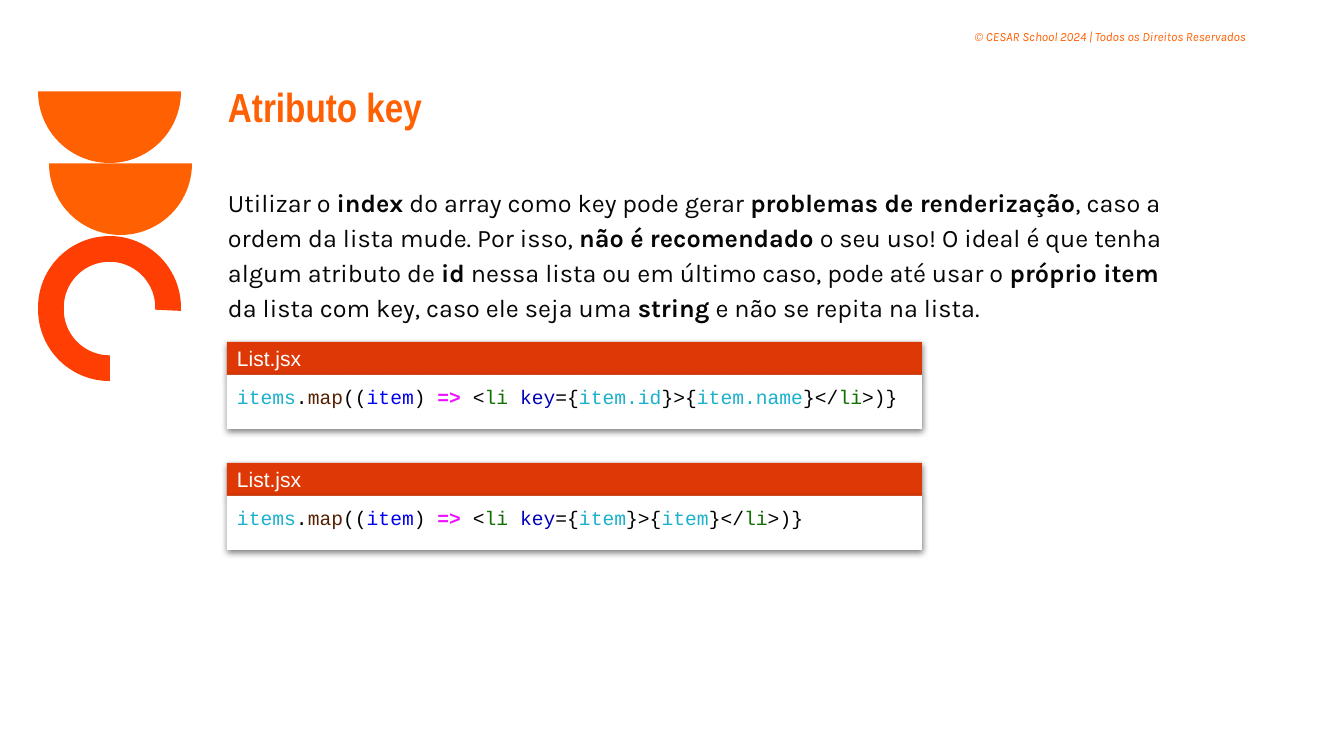
import pptx
import pptx.util
import pptx.dml.color
import pptx.enum.shapes
import pptx.enum.text
import pptx.oxml
import pptx.oxml.ns

RGB = pptx.dml.color.RGBColor
SHAPE = pptx.enum.shapes.MSO_SHAPE
ALIGN = pptx.enum.text.PP_ALIGN

ORANGE = RGB(0xFF, 0x60, 0x02)
RED = RGB(0xFF, 0x3E, 0x03)
HEADER_RED = RGB(0xDD, 0x38, 0x05)
INK = RGB(0x07, 0x06, 0x06)
WHITE = RGB(0xFF, 0xFF, 0xFF)
BLACK = RGB(0, 0, 0)
CYAN = RGB(0x1A, 0xB1, 0xCD)
BROWN = RGB(0x57, 0x20, 0x00)
BLUE = RGB(0x00, 0x00, 0xF0)
NAVY = RGB(0x00, 0x00, 0xC0)
MAGENTA = RGB(0xEE, 0x11, 0xFF)
GREEN = RGB(0x10, 0x70, 0x00)

# Content
TITLE = "Atributo key"
COPYRIGHT = "© CESAR School 2024 | Todos os Direitos Reservados "
# Every second piece between ** marks is bold
EXPLANATION = (
    "Utilizar o **index** do array como key pode gerar **problemas de renderização**"
    ", caso a ordem da lista mude. Por isso, **não é recomendado** o seu uso! "
    "O ideal é que tenha algum atributo de **id** nessa lista ou em último caso, "
    "pode até usar o **próprio item** da lista com key, caso ele seja uma **string**"
    " e não se repita na lista."
)
FILE_NAME = "List.jsx"
EXAMPLES = [("item.id", "item.name"), ("item", "item")]  # key, displayed value


def code_tokens(key, value):
    return [
        ("items", CYAN), (".", BLACK), ("map", BROWN), ("((", BLACK), ("item", BLUE),
        (") ", BLACK), ("=>", MAGENTA), (" <", BLACK), ("li ", GREEN), ("key", NAVY),
        ("={", BLACK), (key, CYAN), ("}>{", BLACK), (value, CYAN), ("}</", BLACK),
        ("li", GREEN), (">)}", BLACK),
    ]


# Layout in px
PX = 914400 / 100.8
SLIDE_SIZE = (1344, 756)
TITLE_BOX = (218, 72, 876, 72)
COPYRIGHT_BOX = (963, 22, 297, 34)
EXPLANATION_BOX = (218, 173, 974, 156)
DISC = 143
HALF_DISCS = [(49, 92), (38, 20)]  # left, top of each full circle
RING_PARTS = [(270, 236), (0, 236), (180, 238)]  # rotation, top
RING_LEFT = 38
CARD_LEFT, CARD_TOP, CARD_WIDTH, CARD_STEP = 227, 342, 695, 121
HEADER_HEIGHT, CODE_HEIGHT = 33, 54
INSET = 10


def emu(*lengths):
    return [round(length * PX) for length in lengths]


def set_frame(frame, left=INSET, top=INSET, right=INSET, bottom=INSET):
    frame.word_wrap = True
    frame.auto_size = pptx.enum.text.MSO_AUTO_SIZE.NONE
    frame.vertical_anchor = pptx.enum.text.MSO_ANCHOR.TOP
    (frame.margin_left, frame.margin_top,
     frame.margin_right, frame.margin_bottom) = emu(left, top, right, bottom)
    return frame.paragraphs[0]


def set_font(paragraph, name, size, color=None, align=ALIGN.LEFT):
    paragraph.alignment = align
    paragraph.font.name = name
    paragraph.font.size = pptx.util.Pt(size)
    if color is not None:
        paragraph.font.color.rgb = color


def add_plain_shape(shapes, kind, box, color):
    shape = shapes.add_shape(kind, *emu(*box))
    shape.shadow.inherit = False
    shape.fill.solid()
    shape.fill.fore_color.rgb = color
    shape.line.fill.background()
    return shape


def add_card_part(card, box, color):
    part = add_plain_shape(card.shapes, SHAPE.RECTANGLE, box, color)
    effects = part._element.spPr.find(pptx.oxml.ns.qn("a:effectLst"))
    effects.append(pptx.oxml.parse_xml(
        f'<a:outerShdw {pptx.oxml.ns.nsdecls("a")} blurRad="57150" dist="19050" '
        'dir="5400000" algn="bl" rotWithShape="0"><a:srgbClr val="000000">'
        '<a:alpha val="50000"/></a:srgbClr></a:outerShdw>'))
    return part.text_frame


def main():
    deck = pptx.Presentation()
    deck.slide_width, deck.slide_height = emu(*SLIDE_SIZE)
    slide = deck.slides.add_slide(deck.slide_layouts[5])
    shapes = slide.shapes

    # Title
    title = shapes.title
    title.left, title.top, title.width, title.height = emu(*TITLE_BOX)
    heading = set_frame(title.text_frame)
    heading.text = TITLE
    set_font(heading, "Arial Narrow", 29, ORANGE)
    heading.font.bold = True

    # Copyright line
    notice = set_frame(shapes.add_textbox(*emu(*COPYRIGHT_BOX)).text_frame, 7, 7, 7, 7)
    notice.text = COPYRIGHT
    set_font(notice, "Karla", 9, ORANGE, ALIGN.CENTER)
    notice.font.italic = True

    # Decoration: two half discs above an open ring
    for left, top in HALF_DISCS:
        half = add_plain_shape(shapes, SHAPE.CHORD, (left, top, DISC, DISC), ORANGE)
        half.adjustments[0] = 0
        half.adjustments[1] = 108
    for rotation, top in RING_PARTS:
        arc = add_plain_shape(shapes, SHAPE.BLOCK_ARC, (RING_LEFT, top, DISC, DISC), RED)
        for index, value in enumerate((161.78, 1.63, 0.18)):
            arc.adjustments[index] = value
        arc.rotation = rotation

    # Explanation
    explanation = set_frame(shapes.add_textbox(*emu(*EXPLANATION_BOX)).text_frame)
    set_font(explanation, "Karla", 18, INK)
    explanation.line_spacing = 1.15
    for index, piece in enumerate(EXPLANATION.split("**")):
        run = explanation.add_run()
        run.text = piece
        run.font.bold = index % 2 == 1

    # Code cards
    for index, (key, value) in enumerate(EXAMPLES):
        top = CARD_TOP + index * CARD_STEP
        card = shapes.add_group_shape()
        header = set_frame(add_card_part(
            card, (CARD_LEFT, top, CARD_WIDTH, HEADER_HEIGHT), HEADER_RED), INSET, 0, 0, 0)
        header.text = FILE_NAME
        set_font(header, "Arial", 15, WHITE)
        header.line_spacing = 1.15

        code = set_frame(add_card_part(
            card, (CARD_LEFT, top + HEADER_HEIGHT, CARD_WIDTH, CODE_HEIGHT), WHITE))
        set_font(code, "Courier New", 14)
        for token, color in code_tokens(key, value):
            run = code.add_run()
            run.text = token
            run.font.color.rgb = color
            run.font.bold = token == "=>"

    deck.save("out.pptx")


if __name__ == "__main__":
    main()
